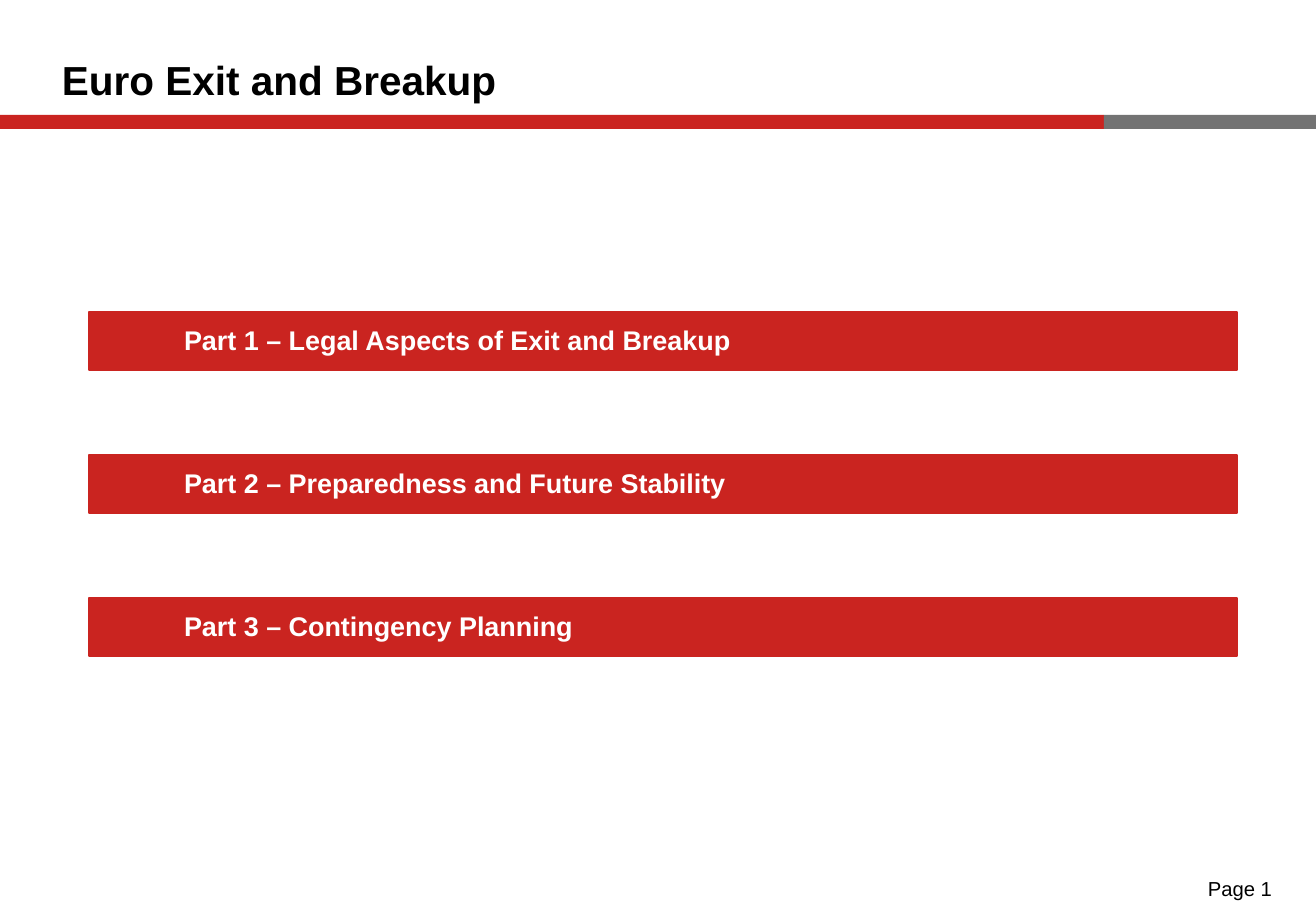
from pptx import Presentation
from pptx.dml.color import RGBColor
from pptx.enum.shapes import MSO_SHAPE
from pptx.enum.text import MSO_ANCHOR, PP_ALIGN
from pptx.util import Emu, Pt

RED = RGBColor(0xCA, 0x24, 0x20)
GREY = RGBColor(0x73, 0x73, 0x73)
BLACK = RGBColor(0, 0, 0)
WHITE = RGBColor(0xFF, 0xFF, 0xFF)


def px(n):
    return Emu(round(n * 914400 / 121.5))


class Deck:
    """Slide builder with one font and lengths in px."""

    def __init__(self, width, height, font):
        self.prs = Presentation()
        self.prs.slide_width, self.prs.slide_height = px(width), px(height)
        self.s = self.prs.slides.add_slide(self.prs.slide_layouts[6])
        self.font = font

    def set_text(self, sp, text, size, color, bold, align, anchor, insets):
        tf = sp.text_frame
        tf.word_wrap = True
        tf.vertical_anchor = anchor
        (tf.margin_left, tf.margin_top,
         tf.margin_right, tf.margin_bottom) = map(px, insets)
        tf.text = text
        p = tf.paragraphs[0]
        p.alignment = align
        f = p.runs[0].font
        f.name, f.size, f.bold = self.font, Pt(size), bold
        f.color.rgb = color

    def rect(self, x, y, w, h, color):
        sp = self.s.shapes.add_shape(MSO_SHAPE.RECTANGLE, *map(px, (x, y, w, h)))
        sp.shadow.inherit = False
        sp.fill.solid()
        sp.fill.fore_color.rgb = color
        sp.line.fill.background()
        return sp

    def bar(self, x, y, w, h, text):
        sp = self.rect(x, y, w, h, RED)
        sp.line.color.rgb = RED
        sp.line.width = Pt(1)
        self.set_text(sp, text, 16, WHITE, True, PP_ALIGN.LEFT,
                      MSO_ANCHOR.MIDDLE, (95, 0, 0, 2))

    def label(self, x, y, w, h, text, size, bold=False,
              align=PP_ALIGN.LEFT, top=6):
        sp = self.s.shapes.add_textbox(*map(px, (x, y, w, h)))
        self.set_text(sp, text, size, BLACK, bold, align,
                      MSO_ANCHOR.TOP, (12, top, 12, 6))


def main():
    deck = Deck(1316, 911, "Arial")
    deck.rect(0, 115, 1104, 14, RED)
    deck.rect(1104, 115, 212, 14, GREY)
    deck.label(50, 44, 1202, 45, "Euro Exit and Breakup", 24, bold=True, top=11)
    parts = (
        "Part 1 – Legal Aspects of Exit and Breakup",
        "Part 2 – Preparedness and Future Stability",
        "Part 3 – Contingency Planning",
    )
    for i, part in enumerate(parts):
        deck.bar(89, 312 + 143 * i, 1148, 58, part)
    deck.label(980, 870, 304, 30, "Page 1", 12, align=PP_ALIGN.RIGHT)
    deck.prs.save("out.pptx")


if __name__ == "__main__":
    main()
